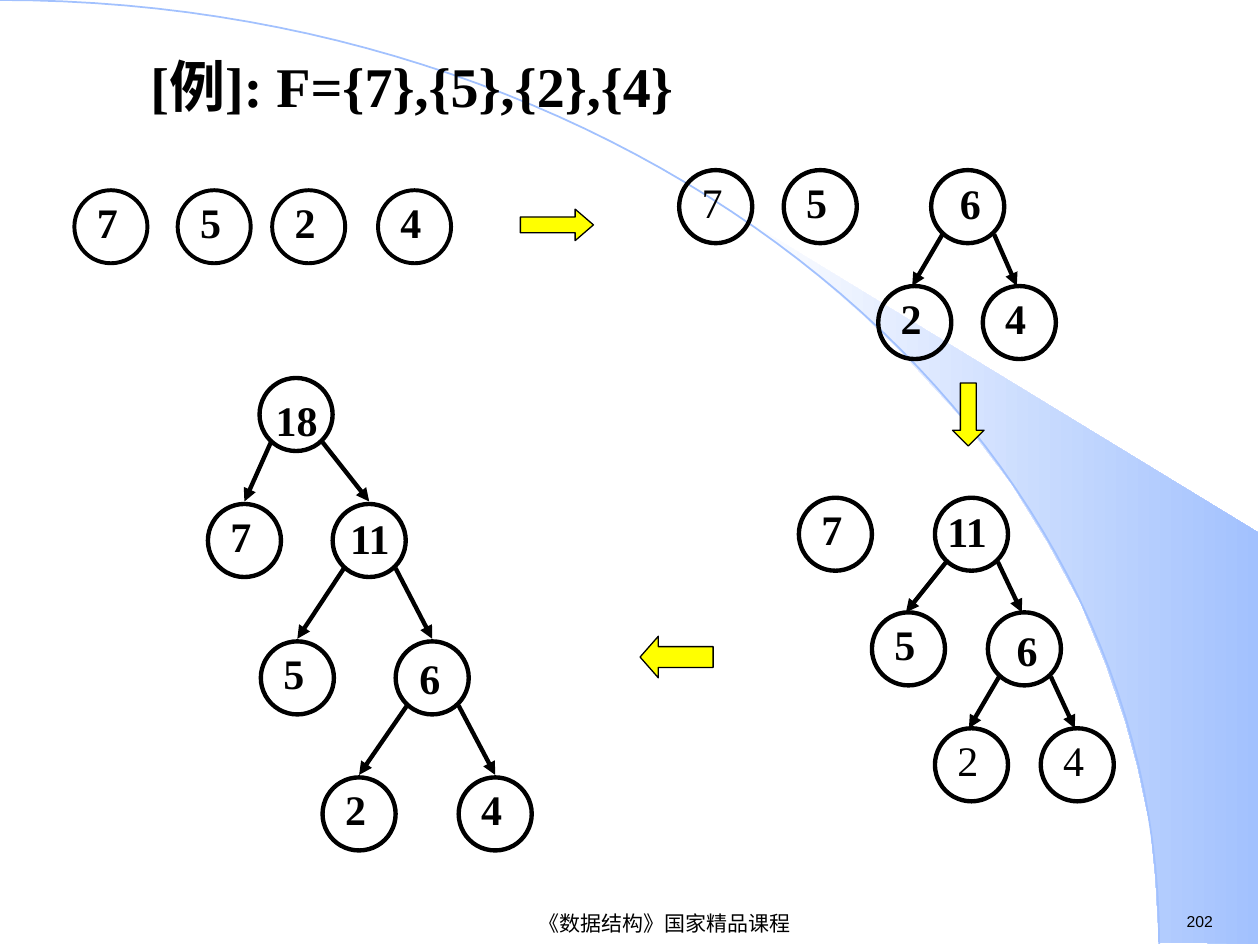
from dataclasses import dataclass

from lxml import etree
from pptx import Presentation
from pptx import util as u
from pptx.dml.color import RGBColor
from pptx.enum import shapes, text
from pptx.oxml import ns

Inches, Pt = u.Inches, u.Pt


@dataclass
class Theme:
    ink: RGBColor = RGBColor(0, 0, 0)
    white: RGBColor = RGBColor(255, 255, 255)
    sky: RGBColor = RGBColor(0xA2, 0xC1, 0xFE)
    yellow: RGBColor = RGBColor(255, 255, 0)
    serif: str = "Times New Roman"
    sans: str = "Arial"
    title: float = 32
    node: float = 24
    footer: float = 12
    number: float = 9


theme = Theme()


def write(box, wording, font, size, bold=False, align=text.PP_ALIGN.LEFT, anchor=text.MSO_ANCHOR.TOP):
    frame = box.text_frame
    frame.word_wrap = False
    frame.auto_size = text.MSO_AUTO_SIZE.NONE
    frame.vertical_anchor = anchor
    para = frame.paragraphs[0]
    para.text = wording
    para.alignment = align
    para.font.name = font
    para.font.size = Pt(size)
    para.font.bold = bold
    para.font.color.rgb = theme.ink


def outline(shape, color, width):
    shape.line.color.rgb = color
    shape.line.width = Pt(width)


deck = Presentation()
deck.slide_width, deck.slide_height = Inches(10), Inches(7.5)
page = deck.slides.add_slide(deck.slide_layouts[5])

beam_points = [
    (9.2, 7.48), (9.99, 7.49), (9.99, 4.23), (5.89, 1.73), (6.24, 1.99), (6.53, 2.22),
    (6.85, 2.5), (7.16, 2.8), (7.62, 3.3), (8.03, 3.84), (8.32, 4.31), (8.58, 4.79),
    (8.78, 5.28), (8.93, 5.72), (9.03, 6.09), (9.13, 6.56), (9.17, 6.96),
]
pen = page.shapes.build_freeform(Inches(9.2), Inches(7.48))
pen.add_line_segments([(Inches(x), Inches(y)) for x, y in beam_points[1:]], close=True)
beam = pen.convert_to_shape()
beam.shadow.inherit = False
beam.line.fill.background()
beam.fill.gradient()
beam.fill.gradient_angle = 0
for stop, color, position in zip(beam.fill.gradient_stops, (theme.white, theme.sky), (0, 1)):
    stop.color.rgb = color
    stop.position = position

steps = 60
arc_points = []
for step in range(1, steps + 1):
    t = step / steps
    s = 1 - t
    arc_points.append((
        Inches(3 * s * s * t * 5.08 + 3 * s * t * t * 9.2 + t ** 3 * 9.2),
        Inches(3 * s * t * t * 3.35 + t ** 3 * 7.49),
    ))
pen = page.shapes.build_freeform(0, 0)
pen.add_line_segments(arc_points, close=False)
arc = pen.convert_to_shape()
arc.shadow.inherit = False
arc.fill.background()
outline(arc, theme.sky, 1)

title = page.shapes.title
title.left, title.top, title.width, title.height = Inches(0.9), Inches(0.36), Inches(4.74), Inches(0.64)
write(title, "[例]: F={7},{5},{2},{4}", theme.serif, theme.title, True, text.PP_ALIGN.CENTER)
title.element.getparent().append(title.element)

footer = page.shapes.add_textbox(Inches(2.4), Inches(7.21), Inches(5.75), Inches(0.24))
write(footer, "《数据结构》国家精品课程", theme.sans, theme.footer,
      align=text.PP_ALIGN.CENTER, anchor=text.MSO_ANCHOR.MIDDLE)
number = page.shapes.add_textbox(Inches(9.32), Inches(7.19), Inches(0.77), Inches(0.25))
write(number, "202", theme.sans, theme.number)

diameter = 0.58
plain = (0.08, 0)
stages = [
    {
        "width": 2.25, "landing": (0, 0), "light": "", "edges": [],
        "nodes": [("7", 0.59, 1.51, plain), ("5", 1.41, 1.51, plain),
                  ("2", 2.16, 1.51, plain), ("4", 3, 1.51, plain)],
    },
    {
        "width": 2.5, "landing": (0.27, 0), "light": "7", "edges": [("6", "2", "4")],
        "nodes": [("7", 5.39, 1.35, plain), ("5", 6.22, 1.35, plain), ("6", 7.39, 1.35, (0.13, 0.01)),
                  ("2", 6.97, 2.27, plain), ("4", 7.8, 2.27, plain)],
    },
    {
        "width": 2.5, "landing": (0.27, 0), "light": "24", "edges": [("11", "5", "6"), ("6", "2", "4")],
        "nodes": [("7", 6.34, 3.95, plain), ("11", 7.42, 3.95, (0, 0.01)),
                  ("5", 6.92, 4.86, plain), ("6", 7.84, 4.86, (0.13, 0.05)),
                  ("2", 7.42, 5.78, plain), ("4", 8.26, 5.78, plain)],
    },
    {
        "width": 2.5, "landing": (0.29, -0.02), "light": "",
        "edges": [("18", "7", "11"), ("11", "5", "6"), ("6", "2", "4")],
        "nodes": [("18", 2.06, 3, (0.03, 0.08)), ("7", 1.65, 4, plain), ("11", 2.64, 4, (0.04, 0.02)),
                  ("5", 2.07, 5.09, plain), ("6", 3.14, 5.09, (0.09, 0.04)),
                  ("2", 2.56, 6.17, plain), ("4", 3.64, 6.17, plain)],
    },
]

for stage in stages:
    places = {}
    for weight, x, y, (shift_x, shift_y) in stage["nodes"]:
        places[weight] = (x, y)
        circle = page.shapes.add_shape(shapes.MSO_SHAPE.OVAL, Inches(x), Inches(y),
                                       Inches(diameter), Inches(diameter))
        circle.shadow.inherit = False
        circle.fill.background()
        outline(circle, theme.ink, stage["width"])
        label = page.shapes.add_textbox(Inches(x + shift_x), Inches(y + shift_y),
                                        Inches(0.19 + 0.17 * len(weight)), Inches(0.5))
        write(label, weight, theme.serif, theme.node, weight not in list(stage["light"]))
    land_x, land_y = stage["landing"]
    for parent, *children in stage["edges"]:
        x, y = places[parent]
        for child, start_x in zip(children, (0.09, 0.5)):
            child_x, child_y = places[child]
            edge = page.shapes.add_connector(
                shapes.MSO_CONNECTOR.STRAIGHT, Inches(x + start_x), Inches(y + 0.51),
                Inches(child_x + land_x), Inches(child_y + land_y))
            outline(edge, theme.ink, stage["width"])
            etree.SubElement(edge.line._get_or_add_ln(), ns.qn("a:tailEnd"), type="triangle")
            etree.SubElement(edge.element.spPr, ns.qn("a:effectLst"))

block_arrows = [
    (shapes.MSO_SHAPE.RIGHT_ARROW, 4.13, 1.66, 0.58, 0.25, 0.58),
    (shapes.MSO_SHAPE.DOWN_ARROW, 7.56, 3.04, 0.25, 0.5, 0.5),
    (shapes.MSO_SHAPE.LEFT_ARROW, 5.08, 5.05, 0.58, 0.33, 0.44),
]
for kind, x, y, width, height, head in block_arrows:
    arrow = page.shapes.add_shape(kind, Inches(x), Inches(y), Inches(width), Inches(height))
    arrow.adjustments[0] = 0.5
    arrow.adjustments[1] = head
    arrow.shadow.inherit = False
    arrow.fill.solid()
    arrow.fill.fore_color.rgb = theme.yellow
    outline(arrow, theme.ink, 0.75)

deck.save("out.pptx")
